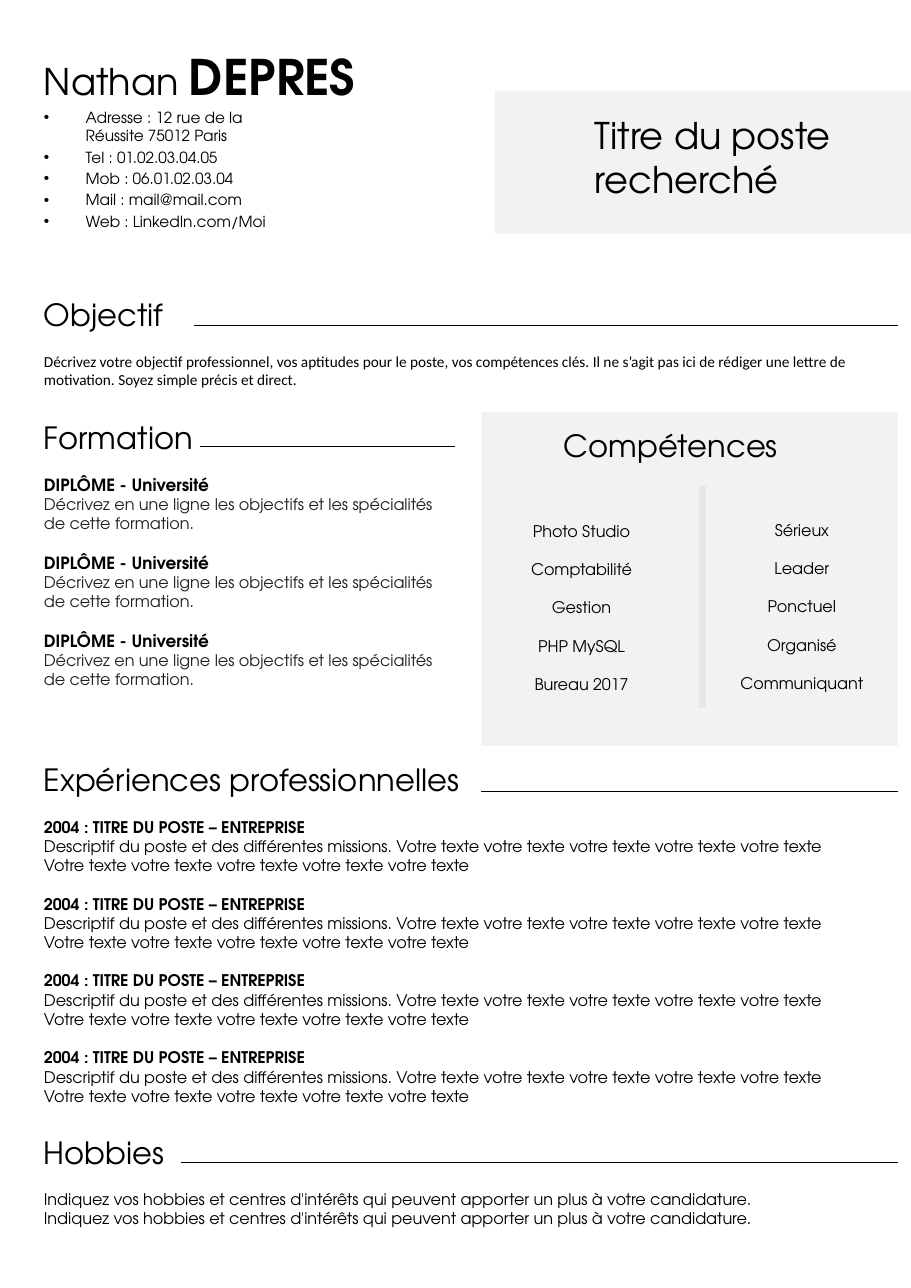
from lxml import etree
from pptx import Presentation
from pptx.dml.color import RGBColor
from pptx.enum.shapes import MSO_CONNECTOR, MSO_SHAPE
from pptx.enum.text import PP_ALIGN
from pptx.oxml.ns import qn
from pptx.util import Pt

PX = 9144
LEFT, RIGHT = 30, 815
STRAIGHT, RECTANGLE = MSO_CONNECTOR.STRAIGHT, MSO_SHAPE.RECTANGLE
ALIGN_LEFT, ALIGN_CENTER = PP_ALIGN.LEFT, PP_ALIGN.CENTER
FONT = "TeX Gyre Adventor"
BLACK, GRAPHITE, PANEL, DIVIDER = "000000", "231F20", "F2F2F2", "E8E6E6"
GAP = 12.5

STYLES = {
    "heading": (20, False, BLACK, FONT),
    "title": (24, False, BLACK, FONT),
    "surname": (32, True, BLACK, FONT),
    "contact": (10, False, BLACK, FONT),
    "objective": (10, False, BLACK, "Calibri"),
    "degree": (11, True, BLACK, FONT),
    "degree_text": (10.5, False, GRAPHITE, FONT),
    "job": (10.5, True, BLACK, FONT),
    "body": (10.5, False, BLACK, FONT),
}

CONTACTS = [
    "Adresse : 12 rue de la Réussite 75012 Paris",
    "Tel : 01.02.03.04.05",
    "Mob : 06.01.02.03.04",
    "Mail : mail@mail.com",
    "Web : LinkedIn.com/Moi",
]
OBJECTIVE = (
    "Décrivez votre objectif professionnel, vos aptitudes pour le poste, vos compétences clés. "
    "Il ne s’agit pas ici de rédiger une lettre de motivation. Soyez simple précis et direct."
)
DEGREES = [(
    "DIPLÔME - Université",
    "Décrivez en une ligne les objectifs et les spécialités de cette formation.",
)] * 3
JOBS = [(
    "2004 : TITRE DU POSTE – ENTREPRISE",
    "Descriptif du poste et des différentes missions. "
    + " ".join(["Votre texte" + " votre texte" * 4] * 2),
)] * 4
HOBBIES = " ".join(
    ["Indiquez vos hobbies et centres d'intérêts qui peuvent apporter un plus à votre candidature."] * 2
)
SKILLS = [
    (528, 468, ["Photo Studio", "Comptabilité", "Gestion", "PHP MySQL", "Bureau 2017"]),
    (728, 467, ["Sérieux", "Leader", "Ponctuel", "Organisé", "Communiquant"]),
]
SKILL_WIDTH = 150
PANELS = [(437, 374, 378, 303), (449, 82, 378, 130)]
RULES = [(176, RIGHT, 295), (182, 413, 405), (437, RIGHT, 718), (164, RIGHT, 1055)]


def entries(pairs, title_style, text_style):
    return [
        row
        for title, text in pairs
        for row in ((title, title_style, GAP), (text, text_style, 0))
    ]


SECTIONS = [
    (264, 749, 94, "Objectif", [(OBJECTIVE, "objective", GAP)]),
    (375, 384, 258, "Formation", entries(DEGREES, "degree", "degree_text")),
    (686, 739, 344, "Expériences professionnelles", entries(JOBS, "job", "body")),
    (1024, 721, 97, "Hobbies", [(HOBBIES, "body", GAP)]),
]


def rgb(value):
    return RGBColor.from_string(value)


def apply_style(run, style):
    size, bold, color, name = STYLES[style]
    run.font.size = Pt(size)
    run.font.bold = bold
    run.font.color.rgb = rgb(color)
    run.font.name = name


def add_panel(slide, box):
    shape = slide.shapes.add_shape(RECTANGLE, *[value * PX for value in box])
    shape.shadow.inherit = False
    shape.fill.solid()
    shape.fill.fore_color.rgb = rgb(PANEL)
    shape.line.fill.background()


def add_line(slide, start, end, color, width):
    connector = slide.shapes.add_connector(
        STRAIGHT, *[value * PX for value in (*start, *end)]
    )
    connector.line.color.rgb = rgb(color)
    connector.line.width = Pt(width)
    etree.SubElement(connector._element.spPr, qn("a:effectLst"))


def add_text(slide, box, rows, align=ALIGN_LEFT):
    shape = slide.shapes.add_textbox(*[value * PX for value in box])
    text_frame = shape.text_frame
    text_frame.word_wrap = True
    text_frame.text = "\n".join(text for text, _, _ in rows)
    for index, (paragraph, row) in enumerate(zip(text_frame.paragraphs, rows)):
        paragraph.alignment = align
        if index and row[2]:
            paragraph.space_before = Pt(row[2])
        apply_style(paragraph.runs[0], row[1])
    return text_frame


def add_bullet(paragraph):
    properties = paragraph._p.get_or_add_pPr()
    properties.set("marL", str(38 * PX))
    properties.set("indent", str(-38 * PX))
    etree.SubElement(properties, qn("a:buFont")).set("typeface", "Arial")
    etree.SubElement(properties, qn("a:buChar")).set("char", "•")


def main():
    presentation = Presentation()
    presentation.slide_width = 827 * PX
    presentation.slide_height = 1169 * PX
    slide = presentation.slides.add_slide(presentation.slide_layouts[6])

    for box in PANELS:
        add_panel(slide, box)

    name = add_text(slide, (LEFT, 34, 400, 63), [("Nathan ", "title", 0)]).paragraphs[0]
    name.line_spacing = 1.07
    surname = name.add_run()
    surname.text = "DEPRES"
    apply_style(surname, "surname")

    contacts = add_text(
        slide, (LEFT, 93, 230, 161), [(text, "contact", 2) for text in CONTACTS]
    )
    for paragraph in contacts.paragraphs:
        add_bullet(paragraph)

    add_text(
        slide, (530, 97, 290, 91),
        [("Titre du poste", "title", 0), ("recherché", "title", 0)],
    )

    for top, width, height, heading, rows in SECTIONS:
        add_text(slide, (LEFT, top, width, height), [(heading, "heading", 0), *rows])

    add_text(slide, (502, 383, 250, 44), [("Compétences", "heading", 0)])
    for center, top, skills in SKILLS:
        add_text(
            slide, (center - SKILL_WIDTH // 2, top, SKILL_WIDTH, 169),
            [(skill, "body", GAP) for skill in skills], ALIGN_CENTER,
        )
    add_line(slide, (638, 441), (638, 643), DIVIDER, 4.5)

    for start, end, y in RULES:
        add_line(slide, (start, y), (end, y), BLACK, 0.5)

    presentation.save("out.pptx")


if __name__ == "__main__":
    main()
